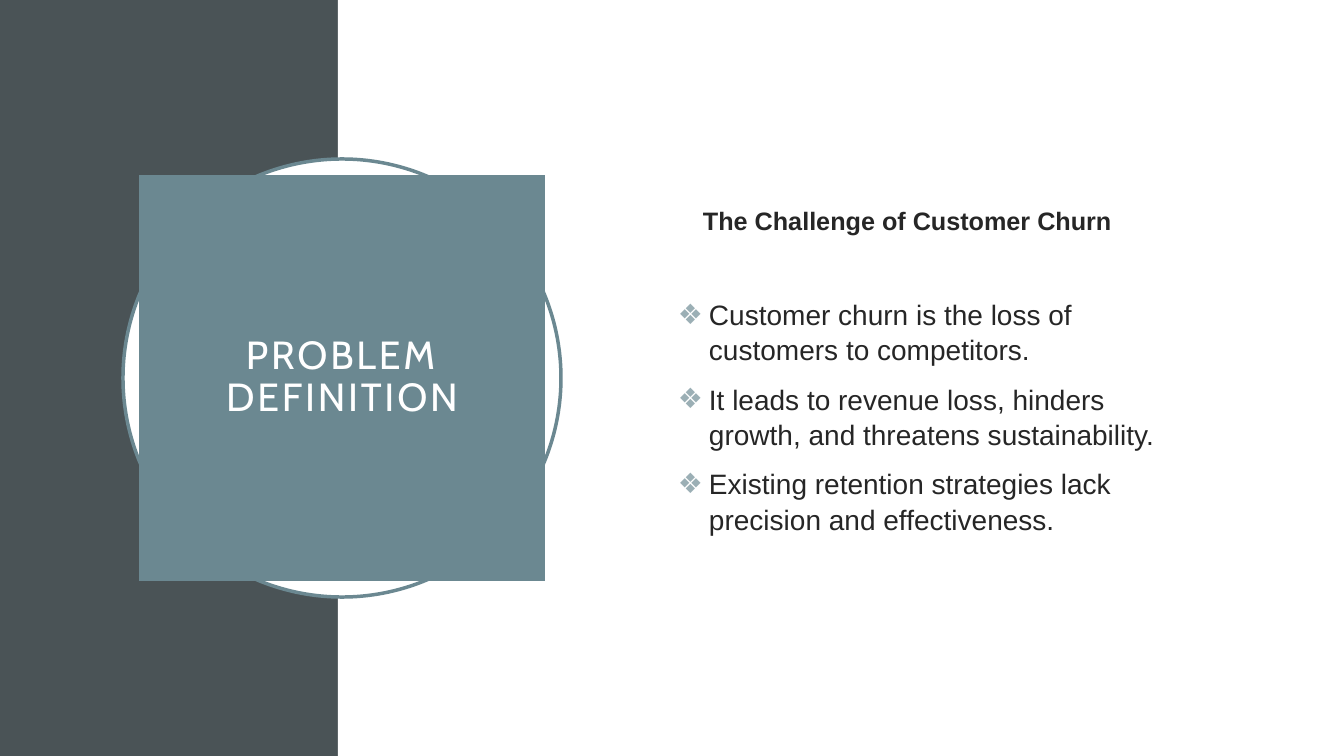
"""Build the problem definition slide."""
from lxml.etree import SubElement
from pptx import Presentation
from pptx.dml.color import RGBColor
from pptx.enum.shapes import MSO_SHAPE
from pptx.enum.text import MSO_ANCHOR, PP_ALIGN
from pptx.oxml.ns import qn
from pptx.util import Pt

PX = 914400 / 100.8
COLORS = {"dark": "4A5356", "white": "FFFFFF", "teal": "6B8891",
          "ink": "262626", "bullet": "9BAFB5"}


def px(*values):
    return [round(v * PX) for v in values]


def write(p, text, size, color, font="Arial", bold=False, before=0, line=1.05,
          align=PP_ALIGN.LEFT, margin=0, indent=0, bullet=None, spacing=0):
    p.alignment, p.line_spacing, p.space_before = align, line, Pt(before)
    pPr = p._p.get_or_add_pPr()
    pPr.set("marL", str(px(margin)[0]))
    pPr.set("indent", str(px(indent)[0]))
    if bullet:
        clr = SubElement(pPr, qn("a:buClr"))
        SubElement(clr, qn("a:srgbClr"), val=COLORS["bullet"])
        SubElement(pPr, qn("a:buFont"), typeface="Arial")
        SubElement(pPr, qn("a:buChar"), char=bullet)
    r = p.add_run()
    r.text = text
    r.font.size, r.font.name, r.font.bold = Pt(size), font, bold
    r.font.color.rgb = RGBColor.from_string(COLORS[color])
    if spacing:
        r._r.get_or_add_rPr().set("spc", str(spacing * 100))


prs = Presentation()
prs.slide_width, prs.slide_height = px(1344, 756)
s = prs.slides.add_slide(prs.slide_layouts[5])

panels = [(MSO_SHAPE.RECTANGLE, (0, 0, 338, 756), "dark", None),
          (MSO_SHAPE.RECTANGLE, (338, 0, 1006, 756), "white", None),
          (MSO_SHAPE.OVAL, (123, 159, 438, 438), "white", "teal")]
for kind, box, fill, line in panels:
    sp = s.shapes.add_shape(kind, *px(*box))
    sp.shadow.inherit = False
    sp.fill.solid()
    sp.fill.fore_color.rgb = RGBColor.from_string(COLORS[fill])
    if line:
        sp.line.color.rgb = RGBColor.from_string(COLORS[line])
        sp.line.width = Pt(2.5)
    else:
        sp.line.fill.background()

title = s.shapes.title
title.element.getparent().append(title.element)
title.left, title.top, title.width, title.height = px(139, 175, 406, 406)
title.fill.solid()
title.fill.fore_color.rgb = RGBColor.from_string(COLORS["teal"])
tf = title.text_frame
tf.word_wrap, tf.vertical_anchor = True, MSO_ANCHOR.MIDDLE
tf.margin_left, tf.margin_top, tf.margin_right, tf.margin_bottom = px(20, 20, 20, 20)
write(tf.paragraphs[0], "PROBLEM DEFINITION", 28, "white", font="Cabin",
      line=0.9, align=PP_ALIGN.CENTER, spacing=2)

body = s.shapes.add_textbox(*px(617, 154, 587, 447))
tf = body.text_frame
tf.word_wrap, tf.vertical_anchor = True, MSO_ANCHOR.TOP
tf.margin_left, tf.margin_top, tf.margin_right, tf.margin_bottom = px(10, 50, 10, 5)
write(tf.paragraphs[0], "The Challenge of Customer Churn", 18, "ink",
      bold=True, margin=76)

points = ["Customer churn is the loss of customers to competitors.",
          "It leads to revenue loss, hinders growth, and threatens sustainability.",
          "Existing retention strategies lack precision and effectiveness."]
for i, point in enumerate(points):
    write(tf.add_paragraph(), point, 20, "ink", before=10 if i else 43,
          margin=82, indent=-31, bullet="❖")

prs.save("out.pptx")
